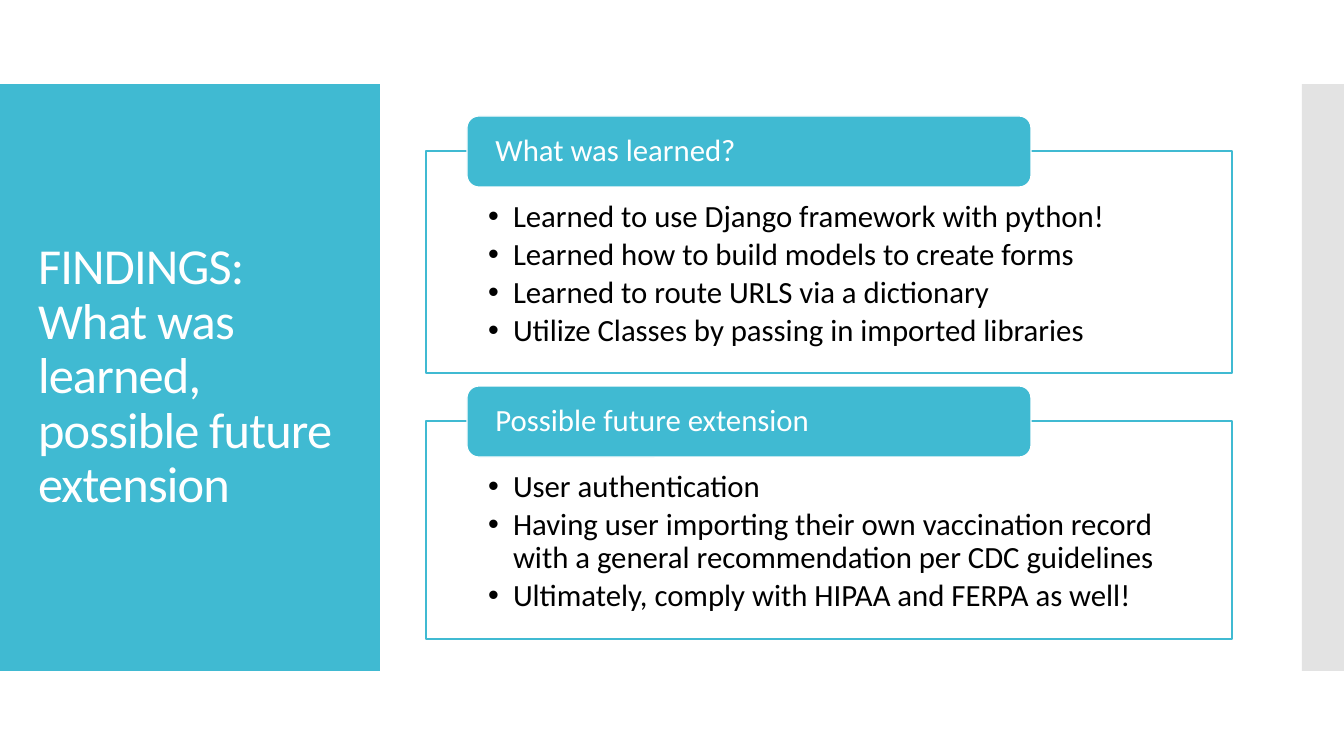
"""Build the findings slide: a title panel and two labelled list boxes."""
from lxml.etree import SubElement as Sub
from pptx import Presentation as Deck
from pptx.dml.color import RGBColor as Rgb
from pptx.enum.shapes import MSO_SHAPE as Kind
from pptx.enum.text import MSO_ANCHOR as Anchor, MSO_AUTO_SIZE as Auto, PP_ALIGN as Align
from pptx.oxml.ns import qn
from pptx.util import Emu, Pt

TEAL, WHITE, GRAY, BLACK = "40BAD2", "FFFFFF", "C8C8C8", "000000"
TOPICS = [
    ("What was learned?", 116, 222, [
        "Learned to use Django framework with python!",
        "Learned how to build models to create forms",
        "Learned to route URLS via a dictionary",
        "Utilize Classes by passing in imported libraries"]),
    ("Possible future extension", 386, 218, [
        "User authentication",
        "Having user importing their own vaccination record "
        "with a general recommendation per CDC guidelines",
        "Ultimately, comply with HIPAA and FERPA as well!"]),
]


def px(n):
    return Emu(round(n * 914400 / 100.8))


def hue(code):
    return Rgb.from_string(code)


def write(frame, lines, size=22, color=BLACK, after=0, pad=(10, 5, 10, 5),
          anchor=Anchor.TOP, hang=0, track=0):
    frame.word_wrap = True
    frame.auto_size = Auto.NONE
    frame.vertical_anchor = anchor
    (frame.margin_left, frame.margin_top,
     frame.margin_right, frame.margin_bottom) = map(px, pad)
    for i, line in enumerate(lines):
        para = frame.add_paragraph() if i else frame.paragraphs[0]
        para.text = line
        para.alignment = Align.LEFT
        para.line_spacing = 0.9
        para.space_before, para.space_after = Pt(0), Pt(after)
        if hang:
            props = para._p.get_or_add_pPr()
            props.set("marL", str(px(hang)))
            props.set("indent", str(px(-hang)))
        for run in para.runs:
            font = run.font
            font.name, font.size = "Calibri", Pt(size)
            font.color.rgb = hue(color)
            if track:
                run._r.get_or_add_rPr().set("spc", str(track))


class Page:
    def __init__(self, deck):
        self.slide = deck.slides.add_slide(deck.slide_layouts[3])
        self.shapes = self.slide.shapes
        self.title, *self.lists = self.slide.placeholders

    def place(self, item, x, y, w, h):
        item.left, item.top, item.width, item.height = map(px, (x, y, w, h))

    def paint(self, item, fill, line=None, alpha=100):
        item.fill.solid()
        item.fill.fore_color.rgb = hue(fill)
        if alpha < 100:
            tint = item._element.spPr.find(qn("a:solidFill"))[0]
            Sub(tint, qn("a:alpha"), val=str(alpha * 1000))
        if line:
            item.line.color.rgb = hue(line)
            item.line.width = Pt(0.85)
        else:
            item.line.fill.background()

    def block(self, kind, x, y, w, h, fill, line=None, alpha=100):
        item = self.shapes.add_shape(kind, *map(px, (x, y, w, h)))
        item.shadow.inherit = False
        self.paint(item, fill, line, alpha)
        return item

    def panel(self, x, w, fill, alpha=100):
        item = self.block(Kind.RECTANGLE, x, 84, w, 587, fill, alpha=alpha)
        self.shapes._spTree.insert(2, item._element)

    def head(self, text):
        self.place(self.title, 28, 124, 325, 507)
        write(self.title.text_frame, [text], size=36, color=WHITE,
              anchor=Anchor.MIDDLE, track=-60)

    def topic(self, body, label, y, h, lines):
        self.place(body, 426, y + 35, 806, h)
        self.paint(body, WHITE, TEAL, alpha=90)
        write(body.text_frame, lines, after=3.3, pad=(62, 50, 62, 17), hang=25)
        tag = self.block(Kind.ROUNDED_RECTANGLE, 467, y, 564, 71, TEAL, WHITE)
        write(tag.text_frame, [label], color=WHITE, pad=(25, 0, 25, 0),
              anchor=Anchor.MIDDLE)


def main():
    deck = Deck()
    deck.slide_width, deck.slide_height = px(1344), px(756)
    page = Page(deck)
    page.panel(0, 380, TEAL)
    page.panel(1302, 42, GRAY, alpha=50)
    page.head("FINDINGS:\vWhat was learned, possible future extension")
    for body, topic in zip(page.lists, TOPICS):
        page.topic(body, *topic)
    deck.save("out.pptx")


if __name__ == "__main__":
    main()
